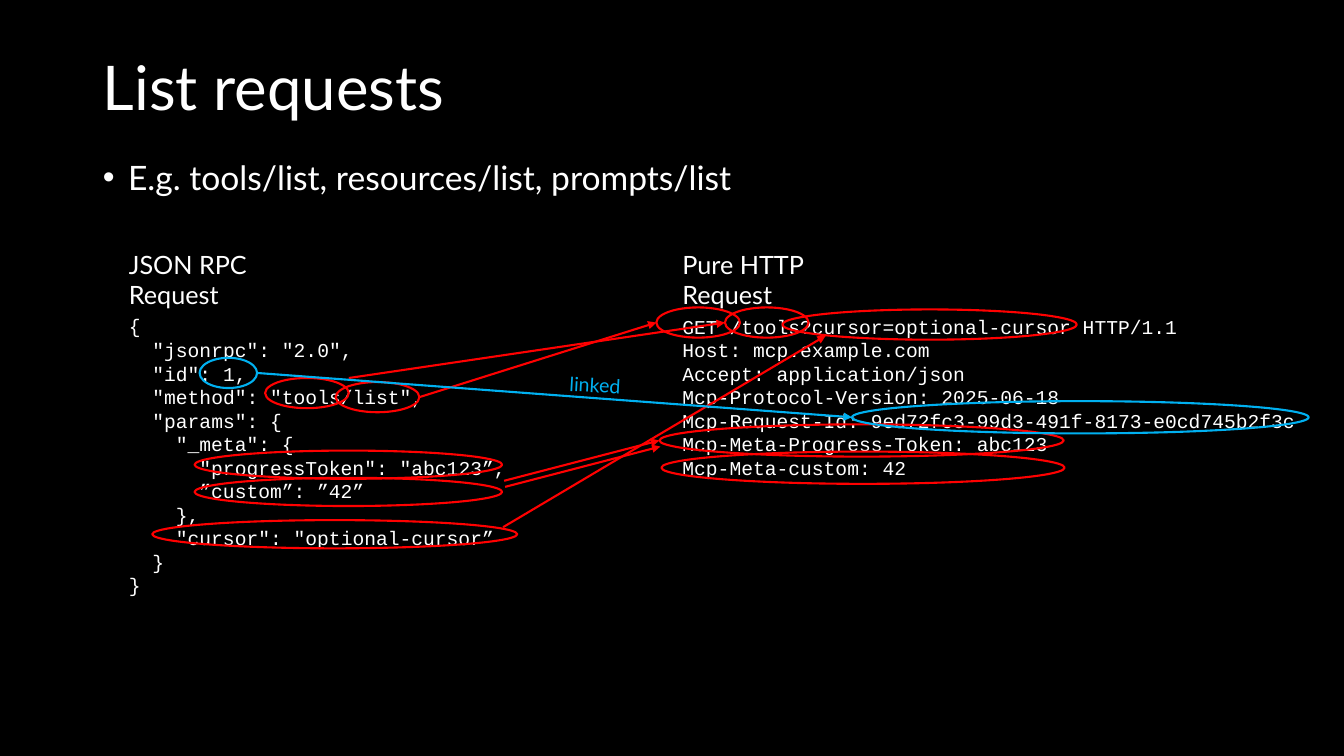
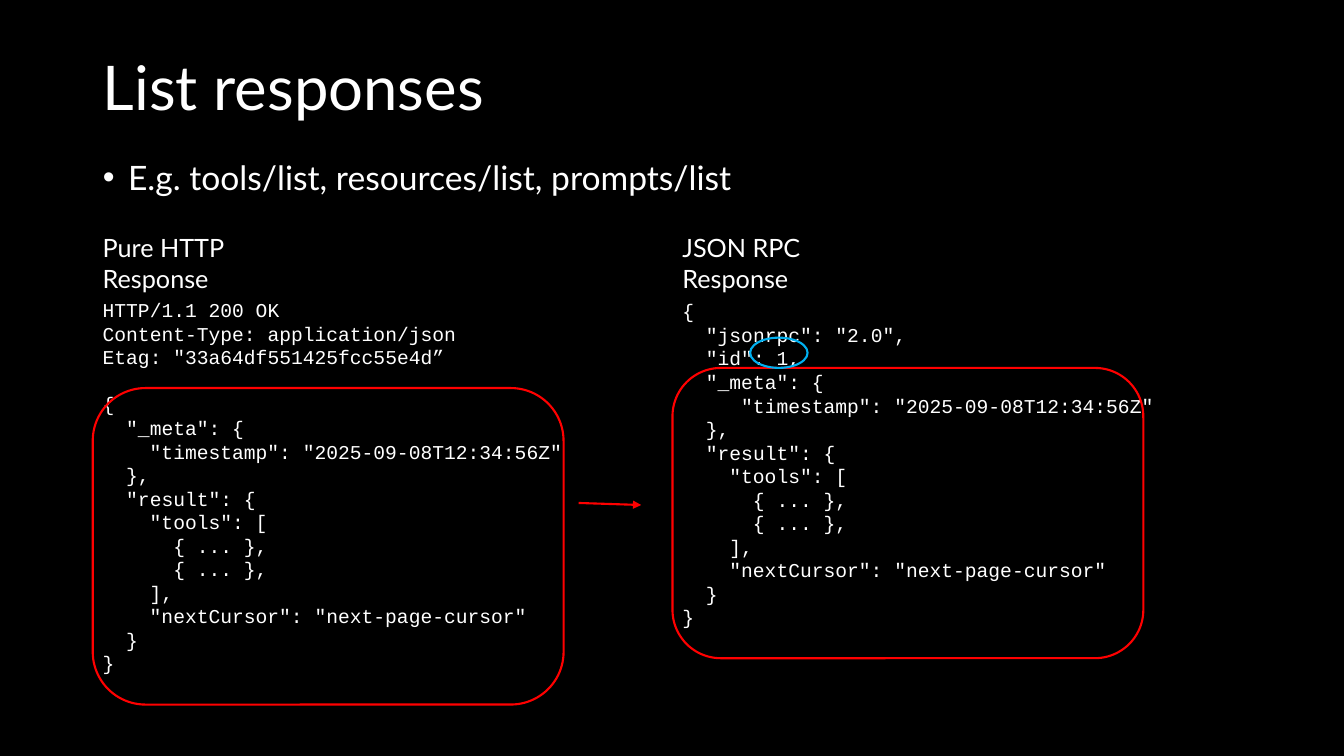
from lxml import etree
from pptx import Presentation
from pptx.dml.color import RGBColor
from pptx.enum.shapes import MSO_CONNECTOR, MSO_SHAPE
from pptx.enum.text import MSO_ANCHOR, MSO_AUTO_SIZE, PP_ALIGN
from pptx.oxml.ns import qn
from pptx.util import Inches, Pt

OVAL, ROUND = MSO_SHAPE.OVAL, MSO_SHAPE.ROUNDED_RECTANGLE
LINE = MSO_CONNECTOR.STRAIGHT
LEFT, MIDDLE, TOP = PP_ALIGN.LEFT, MSO_ANCHOR.MIDDLE, MSO_ANCHOR.TOP
FIXED = MSO_AUTO_SIZE.NONE

SANS, MONO = "Lato", "Courier New"
BLACK, WHITE, RED, BLUE = "000000", "FFFFFF", "FF0000", "00B0F0"
CODE = 14            # code size in points
PITCH = CODE * 1.2   # code line height
CHAR = CODE * 0.6    # code letter width
LIST = "E.g. tools/list, resources/list, prompts/list"

# Code samples
ASK_RPC = """{
  "jsonrpc": "2.0",
  "id": 1,
  "method": "tools/list",
  "params": {
    "_meta": {
      "progressToken": "abc123”,
      ”custom”: ”42”
    },
    "cursor": "optional-cursor”
  }
}"""
ASK_HTTP = """GET /tools?cursor=optional-cursor HTTP/1.1
Host: mcp.example.com
Accept: application/json
Mcp-Protocol-Version: 2025-06-18
Mcp-Request-Id: 9ed72fc3-99d3-491f-8173-e0cd745b2f3c
Mcp-Meta-Progress-Token: abc123
Mcp-Meta-custom: 42"""
RESULT = """  "result": {
    "tools": [
      { ... },
      { ... },
    ],
    "nextCursor": "next-page-cursor"
  }
}"""
REPLY_RPC = """{
  "jsonrpc": "2.0",
  "id": 1,
  "_meta": {
     "timestamp": "2025-09-08T12:34:56Z"
  },
""" + RESULT
REPLY_HTTP = """HTTP/1.1 200 OK
Content-Type: application/json
Etag: "33a64df551425fcc55e4d”

{
  "_meta": {
    "timestamp": "2025-09-08T12:34:56Z"
  },
""" + RESULT

# Each page: title, heads, code blocks, notes, rings, arrows
PAGES = [
    {
        "title": "List requests",
        "heads": [((1.18, 2.42, 2.25, 0.4), "JSON RPC Request"),
                  ((6.67, 2.42, 2.25, 0.4), "Pure HTTP Request")],
        "code": [((1.18, 3.07, 4.08, 2.93), ASK_RPC),
                 ((6.67, 3.07, 6.31, 1.75), ASK_HTTP)],
        "notes": [((5.55, 3.65, 0.72, 0.34), "linked", 3.1)],
        "rings": [
            (OVAL, RED, (2.63, 3.75, 0.83, 0.3)),
            (OVAL, RED, (7.19, 3.05, 0.83, 0.3)),
            (OVAL, RED, (3.33, 3.79, 0.83, 0.3)),
            (OVAL, RED, (6.51, 3.05, 0.83, 0.3)),
            (OVAL, RED, (1.93, 4.47, 3.05, 0.28)),
            (OVAL, RED, (1.51, 5.16, 3.62, 0.28)),
            (OVAL, RED, (7.76, 3.07, 2.92, 0.3)),
            (OVAL, RED, (6.54, 4.21, 4.01, 0.32)),
            (OVAL, RED, (1.93, 4.74, 3.05, 0.28)),
            (OVAL, RED, (6.56, 4.48, 4, 0.32)),
            (OVAL, BLUE, (1.98, 3.55, 0.57, 0.3)),
            (OVAL, BLUE, (8.45, 3.98, 4.53, 0.32)),
        ],
        "arrows": [
            (RED, (3.46, 3.75, 7.19, 3.2)),
            (RED, (4.16, 3.94, 6.51, 3.2)),
            (RED, (4.99, 5.23, 8.19, 3.33)),
            (RED, (5, 4.77, 6.54, 4.37)),
            (RED, (5.01, 4.83, 6.55, 4.43)),
            (BLUE, (2.55, 3.7, 8.45, 4.14)),
        ],
    },
    {
        "title": "List responses",
        "heads": [((6.67, 2.26, 2.4, 0.4), "JSON RPC Response"),
                  ((0.92, 2.26, 2.4, 0.4), "Pure HTTP Response")],
        "code": [((6.67, 2.92, 4.9, 3.4), REPLY_RPC),
                 ((0.92, 2.91, 4.78, 3.87), REPLY_HTTP)],
        "notes": [],
        "rings": [
            (ROUND, RED, (6.67, 3.65, 4.67, 2.88)),
            (ROUND, RED, (0.92, 3.85, 4.67, 3.14)),
            (OVAL, BLUE, (7.44, 3.35, 0.57, 0.3)),
        ],
        "arrows": [(RED, (5.74, 4.99, 6.36, 5.01))],
    },
]


def style(par, font, size, color=WHITE):
    """Format a paragraph and its runs."""
    par.alignment = LEFT
    for run in par.runs:
        run.font.name = font
        run.font.size = Pt(size)
        run.font.color.rgb = RGBColor.from_string(color)


def add_text(slide, box, text, font, size, color=WHITE):
    """Add a text box; leading spaces and blank lines become spacing."""
    shape = slide.shapes.add_textbox(*map(Inches, box))
    frame = shape.text_frame
    frame.word_wrap = True
    par, gap = frame.paragraphs[0], 0
    for row in text.split("\n"):
        if not row:
            gap += PITCH
            continue
        if par.text:
            par = frame.add_paragraph()
        par.text = row.lstrip()
        style(par, font, size, color)
        if font == MONO:
            par.line_spacing = Pt(PITCH)
            inset = (len(row) - len(par.text)) * CHAR
            par._p.get_or_add_pPr().set("marL", str(int(Pt(inset))))
        if gap:
            par.space_before, gap = Pt(gap), 0
    return shape


# Shared size, background and placeholder places
prs = Presentation()
prs.slide_width, prs.slide_height = Inches(13.33), Inches(7.5)
back = prs.slide_master.background.fill
back.solid()
back.fore_color.rgb = RGBColor.from_string(BLACK)
layout = prs.slide_layouts[1]
for item, top in zip(layout.placeholders, (0.4, 1.55)):
    item.left, item.top = Inches(0.92), Inches(top)
    item.width, item.height = Inches(11.5), Inches(1)

for page in PAGES:
    slide = prs.slides.add_slide(layout)

    # Title and list
    title, body = slide.placeholders
    for item, text, size, anchor in ((title, page["title"], 44, MIDDLE),
                                     (body, LIST, 24, TOP)):
        frame = item.text_frame
        frame.text = text
        frame.auto_size = FIXED
        frame.vertical_anchor = anchor
        par = frame.paragraphs[0]
        par.line_spacing = 0.9
        style(par, SANS, size)
    par.space_before = Pt(10)
    props = par._p.get_or_add_pPr()
    props.set("marL", str(Inches(0.25)))
    props.set("indent", str(Inches(-0.25)))
    etree.SubElement(props, qn("a:buFont"), typeface="Arial")
    etree.SubElement(props, qn("a:buChar"), char="•")

    # Heads, code and notes
    for box, text in page["heads"]:
        add_text(slide, box, text, SANS, 18)
    for box, text in page["code"]:
        add_text(slide, box, text, MONO, CODE)
    for box, text, turn in page["notes"]:
        add_text(slide, box, text, SANS, 14, BLUE).rotation = turn

    # Rings around matching parts
    for kind, color, box in page["rings"]:
        ring = slide.shapes.add_shape(kind, *map(Inches, box))
        ring.shadow.inherit = False
        ring.fill.background()
        ring.line.color.rgb = RGBColor.from_string(color)
        ring.line.width = Pt(1.5)

    # Arrows between them
    for color, ends in page["arrows"]:
        arrow = slide.shapes.add_connector(LINE, *map(Inches, ends))
        arrow.line.color.rgb = RGBColor.from_string(color)
        arrow.line.width = Pt(1.5)
        etree.SubElement(arrow.line._get_or_add_ln(), qn("a:tailEnd"),
                         type="triangle")
        etree.SubElement(arrow._element.spPr, qn("a:effectLst"))

prs.save("out.pptx")
